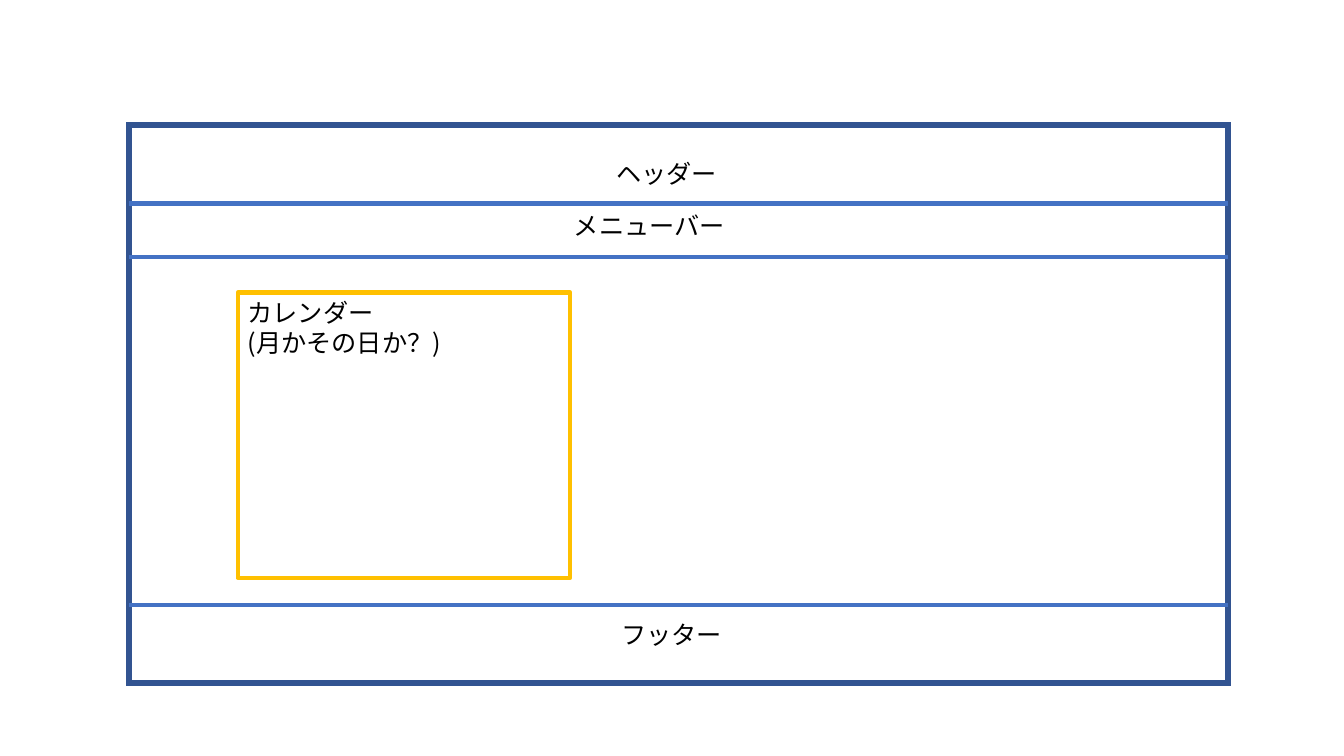
import pptx
import pptx.dml.color
import pptx.enum.shapes
import pptx.enum.text
import pptx.oxml
import pptx.oxml.ns
import pptx.util
from pptx.util import Cm

COLORS = {"frame": "325491", "divider": "4472C4", "calendar": "FFC000", "text": "000000"}
FONT = "Noto Sans CJK JP"
FRAME = {"left": 3.25, "top": 3.15, "width": 27.69, "height": 14.07}
DIVIDERS = (5.13, 6.48, 15.24)
LABEL_WIDTH, LABEL_HEIGHT = 10.59, 1.02
LABELS = (
    ("ヘッダー", 11.51, 3.86),
    ("メニューバー", 11.07, 5.18),
    ("フッター", 11.63, 15.49),
)


def color(name):
    return pptx.dml.color.RGBColor.from_string(COLORS[name])


def apply_format(target, values):
    for name, value in values.items():
        setattr(target, name, value)


def append_element(parent, tag, **attributes):
    element = pptx.oxml.parse_xml(f"<a:{tag} {pptx.oxml.ns.nsdecls('a')}/>")
    for name, value in attributes.items():
        element.set(name, value)
    parent.append(element)


def style_line(shape, color_name, width):
    shape.line.color.rgb = color(color_name)
    shape.line.width = pptx.util.Pt(width)


def write_text(box, lines, alignment, **frame_format):
    frame = box.text_frame
    apply_format(frame, {"word_wrap": True, **frame_format})
    for index, line in enumerate(lines):
        para = frame.paragraphs[0] if index == 0 else frame.add_paragraph()
        para.alignment = alignment
        span = para.add_run()
        span.text = line
        apply_format(span.font, {"name": FONT, "size": pptx.util.Pt(18)})
        span.font.color.rgb = color("text")
        append_element(span.font._element, "ea", typeface=FONT)


def add_outline(page, left, top, width, height, color_name, line_width):
    box = page.shapes.add_shape(
        pptx.enum.shapes.MSO_SHAPE.RECTANGLE, Cm(left), Cm(top), Cm(width), Cm(height)
    )
    box.shadow.inherit = False
    box.fill.background()
    style_line(box, color_name, line_width)
    return box


def add_divider(page, top):
    left, right = FRAME["left"], FRAME["left"] + FRAME["width"]
    divider = page.shapes.add_connector(
        pptx.enum.shapes.MSO_CONNECTOR.STRAIGHT, Cm(left), Cm(top), Cm(right), Cm(top)
    )
    style_line(divider, "divider", 3)
    append_element(divider._element.spPr, "effectLst")


def add_label(page, text, left, top):
    box = page.shapes.add_textbox(Cm(left), Cm(top), Cm(LABEL_WIDTH), Cm(LABEL_HEIGHT))
    write_text(
        box,
        [text],
        pptx.enum.text.PP_ALIGN.CENTER,
        auto_size=pptx.enum.text.MSO_AUTO_SIZE.SHAPE_TO_FIT_TEXT,
    )


def main():
    deck = pptx.Presentation()
    apply_format(deck, {"slide_width": Cm(33.87), "slide_height": Cm(19.05)})
    page = deck.slides.add_slide(deck.slide_layouts[6])

    frame = add_outline(page, **FRAME, color_name="frame", line_width=4.5)
    append_element(frame.line._get_or_add_ln(), "miter", lim="800000")
    for top in DIVIDERS:
        add_divider(page, top)
    for text, left, top in LABELS:
        add_label(page, text, left, top)

    calendar = add_outline(page, 5.99, 7.37, 8.38, 7.19, "calendar", 3)
    write_text(
        calendar,
        ["カレンダー", "(月かその日か？)"],
        pptx.enum.text.PP_ALIGN.LEFT,
        vertical_anchor=pptx.enum.text.MSO_ANCHOR.TOP,
    )
    deck.save("out.pptx")


if __name__ == "__main__":
    main()
